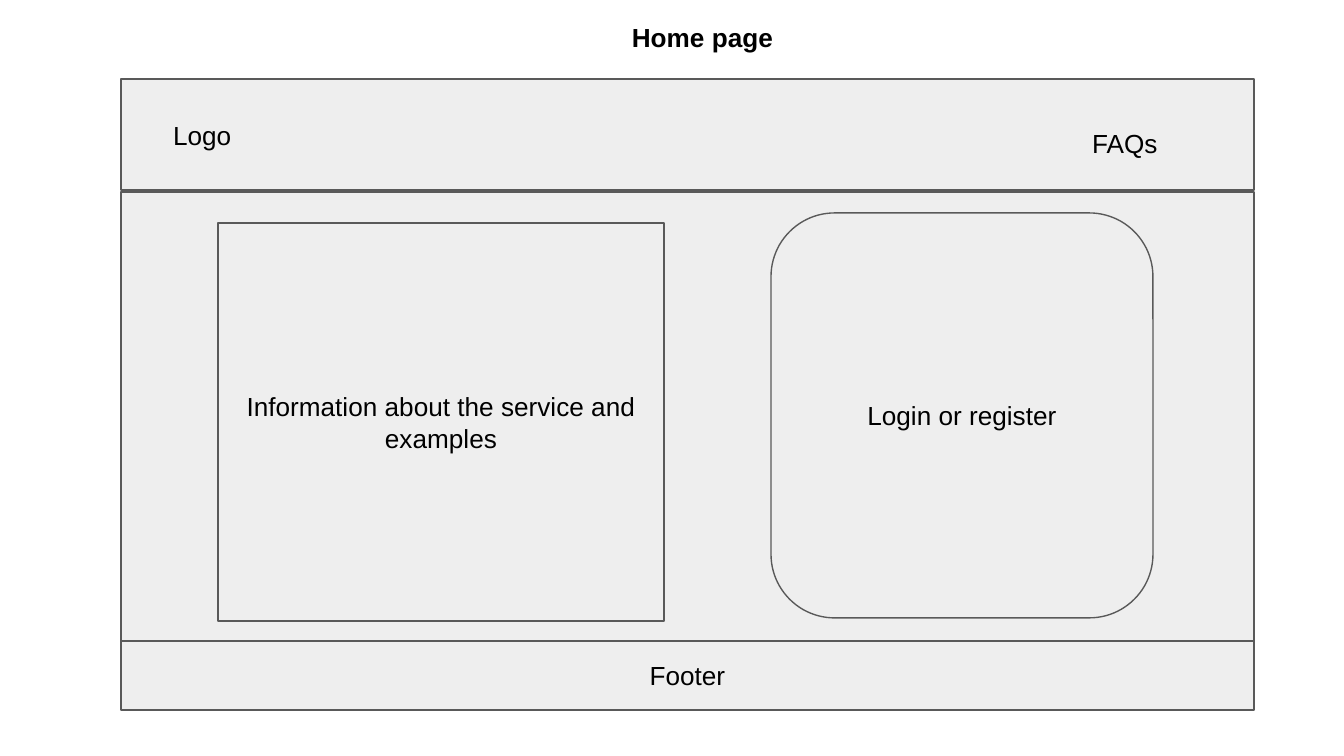
"""Build a home page wireframe slide."""
from pptx import Presentation
from pptx.dml.color import RGBColor
from pptx.enum.shapes import MSO_SHAPE
from pptx.enum.text import MSO_ANCHOR, MSO_AUTO_SIZE, PP_ALIGN
from pptx.util import Pt

PIXEL = 914400 / 134.4
THEME = {
    "panel": RGBColor(0xEE, 0xEE, 0xEE),
    "outline": RGBColor(0x59, 0x59, 0x59),
    "outline_width": Pt(0.75),
    "font": {"name": "Arial", "size": Pt(14)},
    "text": RGBColor(0, 0, 0),
    "inset": 13,
}


def pixels(*values):
    return [round(value * PIXEL) for value in values]


def write(box, text, align, anchor, fit, bold=False):
    frame = box.text_frame
    inset = pixels(THEME["inset"])[0]
    frame_format = {
        "text": text, "word_wrap": True, "auto_size": fit, "vertical_anchor": anchor,
        "margin_left": inset, "margin_right": inset,
        "margin_top": inset, "margin_bottom": inset,
    }
    for name, value in frame_format.items():
        setattr(frame, name, value)
    para = frame.paragraphs[0]
    para.alignment = align
    span = para.runs[0]
    for name, value in {**THEME["font"], "bold": bold}.items():
        setattr(span.font, name, value)
    span.font.color.rgb = THEME["text"]


deck = Presentation()
deck.slide_width, deck.slide_height = pixels(1344, 756)
page = deck.slides.add_slide(deck.slide_layouts[5])

page_left, page_width = 121, 1133
panels = [
    (MSO_SHAPE.RECTANGLE, (page_left, 79, page_width, 111), ""),
    (MSO_SHAPE.RECTANGLE, (page_left, 192, page_width, 449), ""),
    (MSO_SHAPE.FLOWCHART_ALTERNATE_PROCESS, (771, 213, 382, 405), "Login or register"),
    (MSO_SHAPE.RECTANGLE, (218, 223, 446, 398), "Information about the service and examples"),
    (MSO_SHAPE.RECTANGLE, (page_left, 641, page_width, 69), "Footer"),
]
for kind, place, text in panels:
    panel = page.shapes.add_shape(kind, *pixels(*place))
    panel.shadow.inherit = False
    panel.fill.solid()
    panel.fill.fore_color.rgb = THEME["panel"]
    panel.line.color.rgb = THEME["outline"]
    panel.line.width = THEME["outline_width"]
    if text:
        write(panel, text, PP_ALIGN.CENTER, MSO_ANCHOR.MIDDLE, MSO_AUTO_SIZE.NONE)

title = page.shapes.title
title.left, title.top, title.width, title.height = pixels(402, 8, 601, 59)
write(title, "Home page", PP_ALIGN.CENTER, MSO_ANCHOR.TOP, MSO_AUTO_SIZE.SHAPE_TO_FIT_TEXT, True)

labels = [("Logo", (160, 106, 99, 59)), ("FAQs", (1079, 114, 141, 59))]
for text, place in labels:
    label = page.shapes.add_textbox(*pixels(*place))
    write(label, text, PP_ALIGN.LEFT, MSO_ANCHOR.TOP, MSO_AUTO_SIZE.SHAPE_TO_FIT_TEXT)

deck.save("out.pptx")
